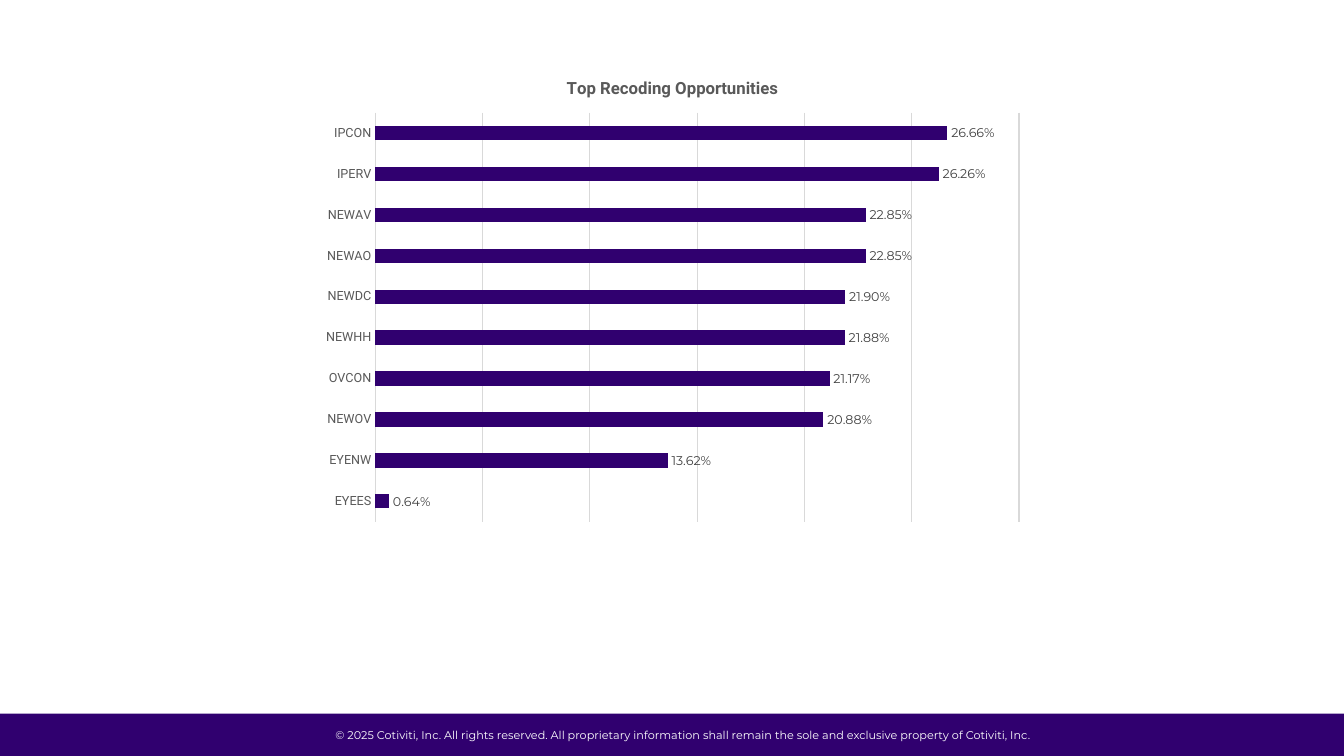
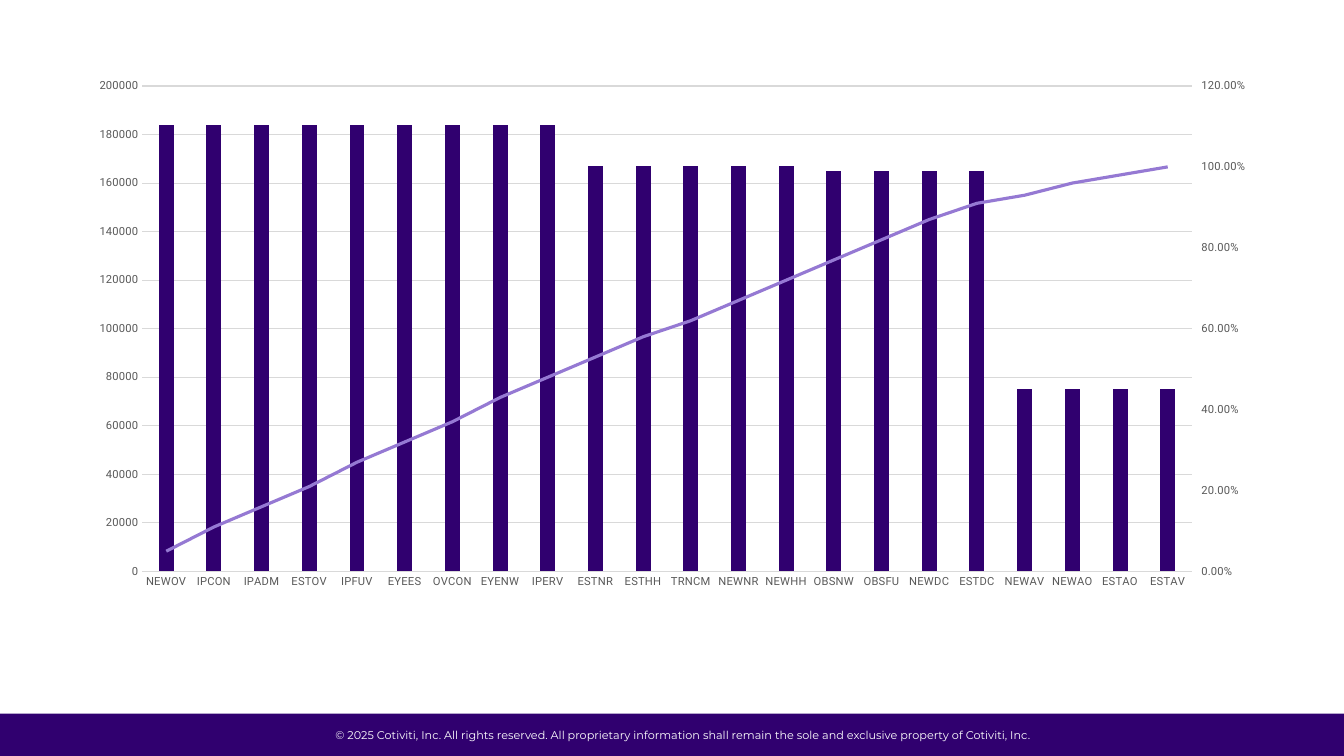
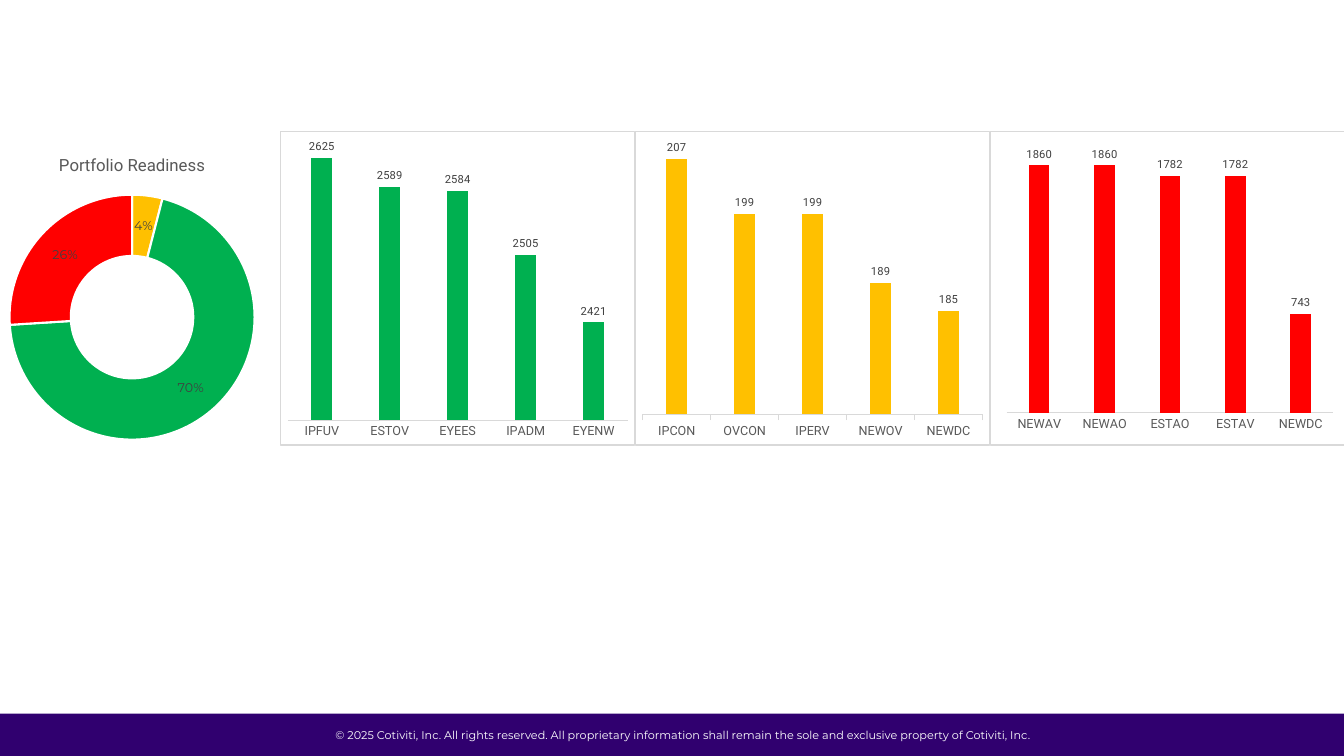
from pptx import Presentation
from pptx import util as u
from pptx.chart.axis import ValueAxis
from pptx.chart.data import CategoryChartData
from pptx.dml.color import RGBColor
from pptx.enum import chart as ch, shapes, text
from pptx.oxml import parse_xml
from pptx.oxml.ns import nsdecls, qn

W, H = 13.33, 7.5
BODY, LABEL = "Montserrat", "Roboto"
COLORS = {"brand": "30006F", "lilac": "9579D3", "white": "FFFFFF", "grid": "D9D9D9",
          "axis": "595959", "label": "404040", "black": "000000",
          "ready": "00B050", "partial": "FFC000", "blocked": "FF0000"}
FOOTER = ("© 2025 Cotiviti, Inc. All rights reserved. All proprietary information "
          "shall remain the sole and exclusive property of Cotiviti, Inc.")

RECODING = [("EYEES", 0.0064), ("EYENW", 0.1362), ("NEWOV", 0.2088), ("OVCON", 0.2117),
            ("NEWHH", 0.2188), ("NEWDC", 0.219), ("NEWAO", 0.2285), ("NEWAV", 0.2285),
            ("IPERV", 0.2626), ("IPCON", 0.2666)]
VOLUME = [(184000, "NEWOV IPCON IPADM ESTOV IPFUV EYEES OVCON EYENW IPERV"),
          (167000, "ESTNR ESTHH TRNCM NEWNR NEWHH"),
          (165000, "OBSNW OBSFU NEWDC ESTDC"),
          (75000, "NEWAV NEWAO ESTAO ESTAV")]
CUMULATIVE = [0.05, 0.11, 0.16, 0.21, 0.27, 0.32, 0.37, 0.43, 0.48, 0.53, 0.58,
              0.62, 0.67, 0.72, 0.77, 0.82, 0.87, 0.91, 0.93, 0.96, 0.98, 1]
READINESS = [("1", 4, "partial"), ("2", 70, "ready"), ("3", 26, "blocked")]
NONE, OUT = ch.XL_TICK_MARK.NONE, ch.XL_TICK_MARK.OUTSIDE
PANELS = [
    ("ready", NONE, (2300, 2650, 50), None,
     [("IPFUV", 2625), ("ESTOV", 2589), ("EYEES", 2584), ("IPADM", 2505), ("EYENW", 2421)]),
    ("partial", OUT, (170, 210, 5), None,
     [("IPCON", 207), ("OVCON", 199), ("IPERV", 199), ("NEWOV", 189), ("NEWDC", 185)]),
    ("blocked", NONE, (0, 2000, 200), (0.045, 0.049, 0.924, 0.848),
     [("NEWAV", 1860), ("NEWAO", 1860), ("ESTAO", 1782), ("ESTAV", 1782), ("NEWDC", 743)]),
]


def rgb(name):
    return RGBColor.from_string(COLORS[name])


def set_font(font, size, color, name, bold=False):
    font.size, font.name, font.bold = u.Pt(size), name, bold
    font.color.rgb = rgb(color)


def set_line(line, color, width=0.75):
    line.color.rgb, line.width = rgb(color), u.Pt(width)


def fill(fmt, color):
    fmt.fill.solid()
    fmt.fill.fore_color.rgb = rgb(color)


def add_footer(prs, layout):
    s = prs.slides.add_slide(layout)
    band = s.shapes.add_shape(shapes.MSO_SHAPE.RECTANGLE, 0, u.Inches(7.08),
                              prs.slide_width, u.Inches(0.42))
    band.shadow.inherit = False
    fill(band, "brand")
    band.line.fill.background()
    box = s.shapes.add_textbox(*map(u.Inches, (3.21, 7.18, 7.14, 0.24)))
    tf = box.text_frame
    tf.word_wrap = False
    tf.auto_size = text.MSO_AUTO_SIZE.SHAPE_TO_FIT_TEXT
    p = tf.paragraphs[0]
    p.text, p.alignment = FOOTER, text.PP_ALIGN.CENTER
    set_font(p.font, 8, "white", BODY)
    for sp in (band, box):
        layout.shapes._spTree.append(sp._element)
    return s


def add_chart(s, kind, at, cats, *series, fmt="General", title=None, bold=False, border=False):
    data = CategoryChartData(number_format=fmt)
    data.categories = cats
    for i, vals in enumerate(series, 1):
        data.add_series(f"Series {i}", vals)
    chart = s.shapes.add_chart(kind, *map(u.Inches, at), data).chart
    set_font(chart.font, 10, "black", BODY)
    chart.has_legend = False
    chart.has_title = bool(title)
    if title:
        p = chart.chart_title.text_frame.paragraphs[0]
        p.text = title
        set_font(p.font, 12, "axis", LABEL, bold)
    edge = (f'<a:ln w="9525"><a:solidFill><a:srgbClr val="{COLORS["grid"]}"/></a:solidFill></a:ln>'
            if border else '<a:ln><a:noFill/></a:ln>')
    chart._chartSpace.find(qn("c:txPr")).addprevious(
        parse_xml(f'<c:spPr {nsdecls("c", "a")}><a:noFill/>{edge}</c:spPr>'))
    return chart


def style_scale(axis, scale, size=8, tick=NONE):
    axis.minimum_scale, axis.maximum_scale, axis.major_unit = scale
    axis.major_tick_mark = tick
    axis.format.line.fill.background()
    set_font(axis.tick_labels.font, size, "axis", LABEL)


def style_bars(chart, color, scale, size=9, tick=NONE, gap=219, overlap=-27,
               grid=False, hidden=True):
    plot, cat, val = chart.plots[0], chart.category_axis, chart.value_axis
    plot.vary_by_categories = False
    plot.gap_width, plot.overlap = gap, overlap
    fill(plot.series[0].format, color)
    cat.major_tick_mark = tick
    set_line(cat.format.line, "grid")
    set_font(cat.tick_labels.font, size, "axis", LABEL)
    style_scale(val, scale)
    val.visible = not hidden
    val.has_major_gridlines = grid
    if grid:
        set_line(val.major_gridlines.format.line, "grid")


def add_labels(plot, size, font, fmt, percent=False):
    plot.has_data_labels = True
    labels = plot.data_labels
    labels.show_value, labels.show_percentage = not percent, percent
    labels.number_format, labels.number_format_is_linked = fmt, False
    if not percent:
        labels.position = ch.XL_LABEL_POSITION.OUTSIDE_END
    set_font(labels.font, size, "label", font)


def move_to_right_axis(chart, color, scale):
    bars = chart._chartSpace.find(".//" + qn("c:barChart"))
    ser = bars.findall(qn("c:ser"))[1]
    for flag in ser.findall(qn("c:invertIfNegative")):
        ser.remove(flag)
    ns = nsdecls("c", "a")
    lines = parse_xml(f'<c:lineChart {ns}><c:grouping val="standard"/><c:varyColors val="0"/>'
                      '<c:marker val="1"/><c:axId val="501"/><c:axId val="502"/></c:lineChart>')
    lines.insert(2, ser)
    bars.addnext(lines)
    val = parse_xml(f'<c:valAx {ns}><c:axId val="502"/><c:scaling/><c:delete val="0"/>'
                    '<c:axPos val="r"/><c:numFmt formatCode="0.00%" sourceLinked="0"/>'
                    '<c:majorTickMark val="out"/><c:minorTickMark val="none"/>'
                    '<c:tickLblPos val="nextTo"/><c:crossAx val="501"/>'
                    '<c:crosses val="max"/></c:valAx>')
    cat = parse_xml(f'<c:catAx {ns}><c:axId val="501"/><c:scaling/><c:delete val="1"/>'
                    '<c:axPos val="b"/><c:crossAx val="502"/><c:crosses val="autoZero"/></c:catAx>')
    last = bars.getparent().findall(qn("c:valAx"))[-1]
    last.addnext(val)
    val.addnext(cat)
    style_scale(ValueAxis(val), scale, tick=OUT)
    line = chart.plots[1].series[0]
    line.smooth = False
    line.marker.style = ch.XL_MARKER_STYLE.NONE
    set_line(line.format.line, color, 2.25)


def set_plot_area(chart, box):
    parts = "".join(f'<c:{k} val="{v}"/>' for k, v in zip("xywh", box))
    area = chart._chartSpace.find(".//" + qn("c:plotArea"))
    for old in area.findall(qn("c:layout")):
        area.remove(old)
    area.insert(0, parse_xml(
        f'<c:layout {nsdecls("c")}><c:manualLayout><c:layoutTarget val="inner"/>'
        f'<c:xMode val="edge"/><c:yMode val="edge"/>{parts}</c:manualLayout></c:layout>'))


def recoding_slide(s):
    cats, vals = zip(*RECODING)
    chart = add_chart(s, ch.XL_CHART_TYPE.BAR_CLUSTERED, (3.09, 0.58, 7.16, 4.69), cats, vals,
                      fmt="0.00%", title="Top Recoding Opportunities", bold=True)
    style_bars(chart, "brand", (0, 0.3, 0.05), gap=182, overlap=0, grid=True)
    add_labels(chart.plots[0], 9, BODY, "0.00%")


def volume_slide(s):
    cats, vals = zip(*((c, v) for v, codes in VOLUME for c in codes.split()))
    chart = add_chart(s, ch.XL_CHART_TYPE.COLUMN_CLUSTERED, (0.75, 0.68, 11.84, 5.27),
                      cats, vals, CUMULATIVE)
    style_bars(chart, "brand", (0, 200000, 20000), size=8, grid=True, hidden=False)
    move_to_right_axis(chart, "lilac", (0, 1.2, 0.2))


def readiness_slide(s):
    cats, vals, colors = zip(*READINESS)
    chart = add_chart(s, ch.XL_CHART_TYPE.DOUGHNUT, (-0.16, 1.38, 2.94, 3.12), cats, vals,
                      title="Portfolio Readiness")
    plot = chart.plots[0]
    for i, color in enumerate(colors):
        fmt = plot.series[0].points[i].format
        fill(fmt, color)
        set_line(fmt.line, "white", 1.5)
    add_labels(plot, 9, BODY, "0%", percent=True)
    for hole in chart._chartSpace.iter(qn("c:holeSize")):
        hole.set("val", "65")

    left, width = 2.78, 3.52
    for i, (color, tick, scale, area, rows) in enumerate(PANELS):
        cats, vals = zip(*rows)
        chart = add_chart(s, ch.XL_CHART_TYPE.COLUMN_CLUSTERED,
                          (left + i * width, 1.3, width, 3.12), cats, vals, border=True)
        style_bars(chart, color, scale, tick=tick)
        add_labels(chart.plots[0], 8, LABEL, "General")
        if area:
            set_plot_area(chart, area)


def main():
    prs = Presentation()
    prs.slide_width, prs.slide_height = u.Inches(W), u.Inches(H)
    blank = prs.slide_layouts[6]
    recoding_slide(add_footer(prs, blank))
    for build in (volume_slide, readiness_slide):
        build(prs.slides.add_slide(blank))
    prs.save("out.pptx")


if __name__ == "__main__":
    main()
